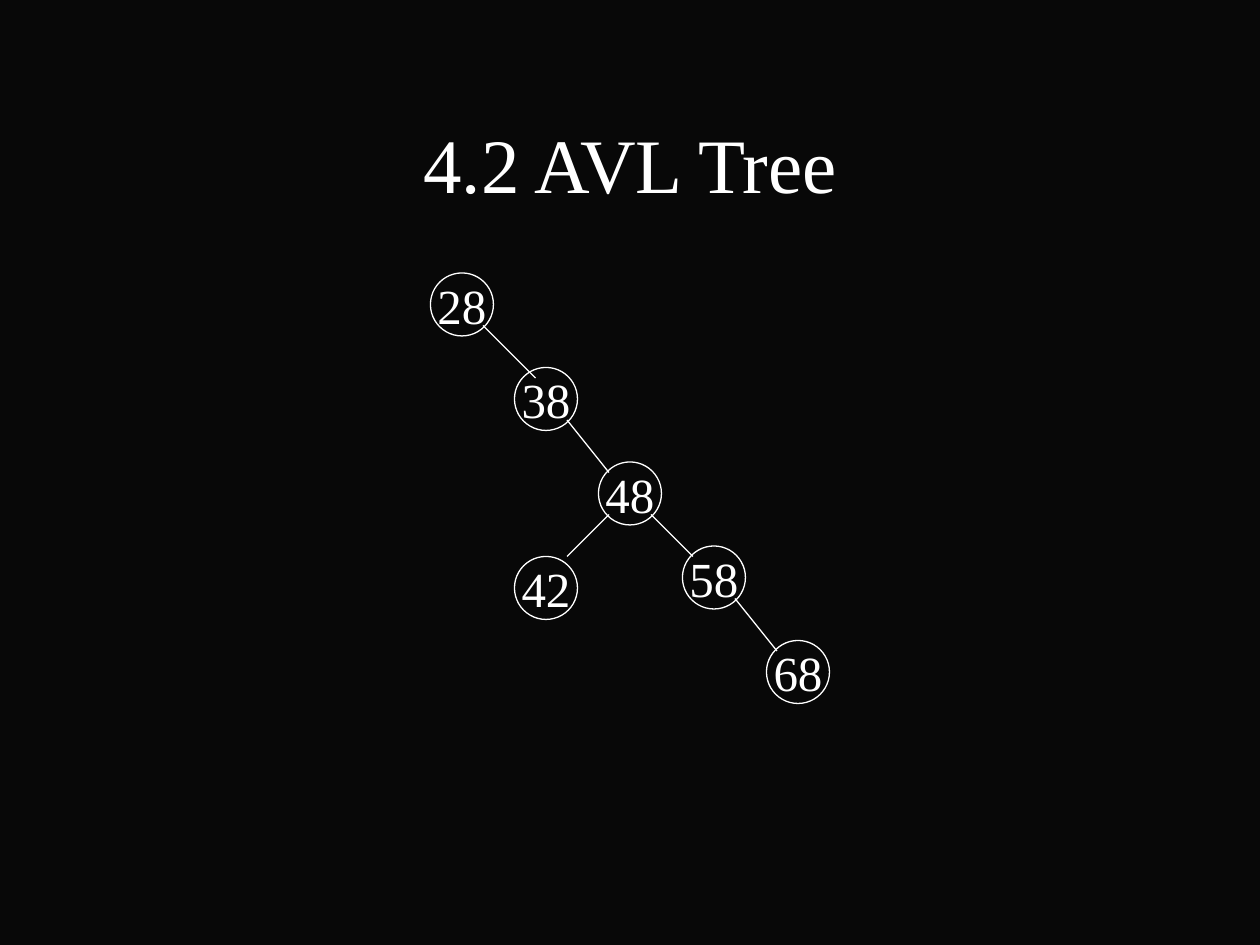
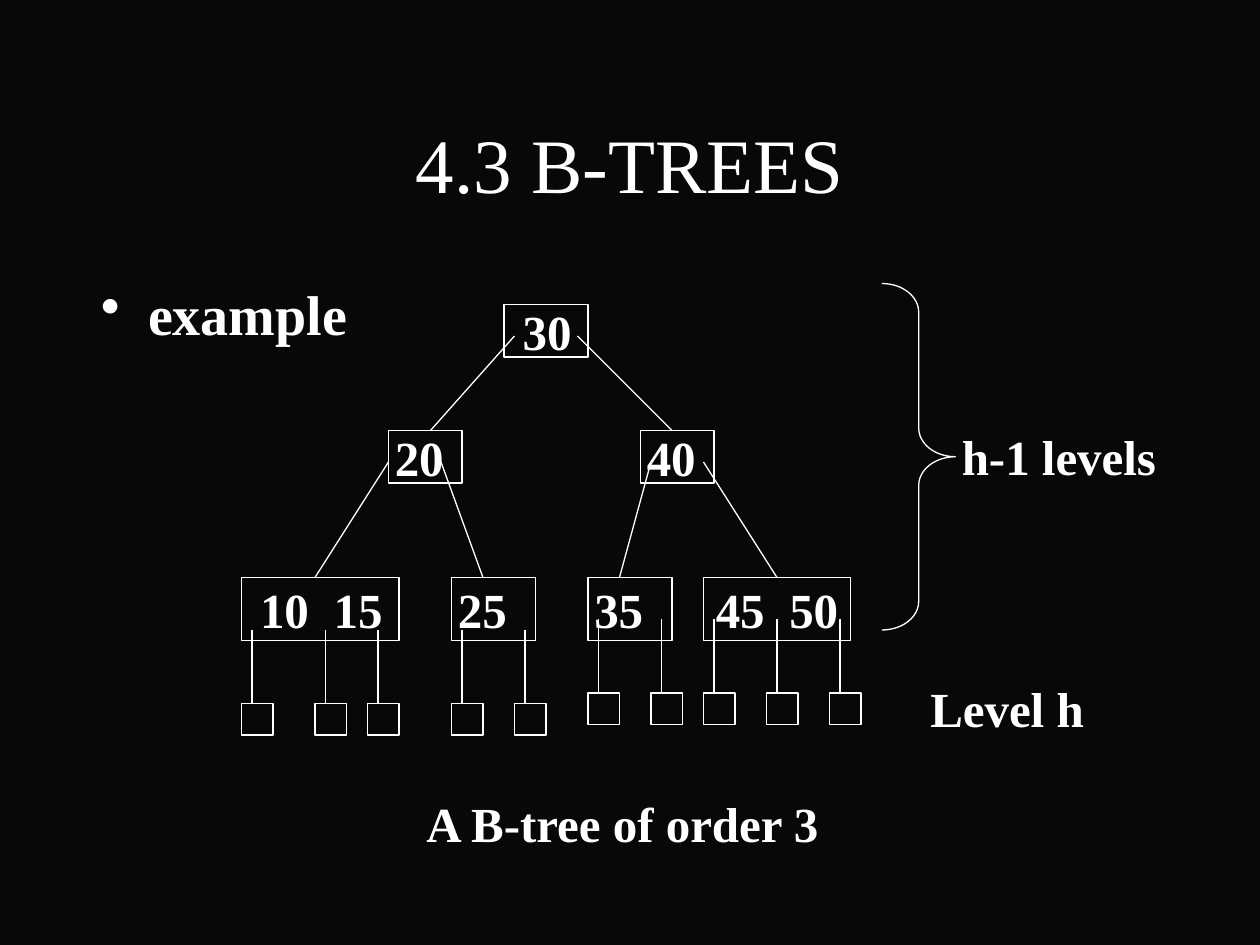
"""Build two slides on search trees: an AVL tree and a B-tree."""
from lxml.etree import SubElement
from pptx import Presentation
from pptx.dml.color import RGBColor
from pptx.enum.shapes import MSO_CONNECTOR as Conn, MSO_SHAPE as Shape
from pptx.enum.text import MSO_ANCHOR as Anchor, PP_ALIGN as Align
from pptx.oxml.ns import qn
from pptx.util import Pt

COLORS = {"back": "080808", "ink": "FFFFFF"}
FONT = "Times New Roman"
LABEL_H = 38
INSET = 3.6


def color(name):
    """Return the named colour."""
    return RGBColor.from_string(COLORS[name])


def write(tf, text, size=28, bold=False, align=Align.LEFT, bullet=None, tab=None):
    """Write one formatted paragraph into a text frame."""
    p = tf.paragraphs[0]
    p.alignment = align
    pPr = p._p.get_or_add_pPr()
    if bullet:
        pPr.set("marL", str(Pt(27)))
        pPr.set("indent", str(-Pt(27)))
        SubElement(pPr, qn("a:buChar"), char=bullet)
    if tab:
        tabs = SubElement(pPr, qn("a:tabLst"))
        SubElement(tabs, qn("a:tab"), pos=str(Pt(tab)), algn="l")
    r = p.add_run()
    r.text = text
    r.font.name, r.font.size, r.font.bold = FONT, Pt(size), bold
    r.font.color.rgb = color("ink")


class Deck:
    """Hold the shared style and the current slide."""

    def __init__(self):
        """Open a 10 by 7.5 inch presentation."""
        self.prs = Presentation()
        self.prs.slide_width, self.prs.slide_height = Pt(720), Pt(540)
        self.s = None

    def slide(self, title):
        """Start a dark slide with a centred title."""
        self.s = self.prs.slides.add_slide(self.prs.slide_layouts[6])
        fill = self.s.background.fill
        fill.solid()
        fill.fore_color.rgb = color("back")
        self.text(title, 54, 48, 612, 90, anchor=Anchor.MIDDLE,
                  size=44, align=Align.CENTER)

    def text(self, text, x, y, w, h=LABEL_H, anchor=Anchor.TOP, wrap=True, pad=0, **fmt):
        """Add a text box."""
        tf = self.s.shapes.add_textbox(Pt(x), Pt(y), Pt(w), Pt(h)).text_frame
        tf.word_wrap, tf.vertical_anchor = wrap, anchor
        tf.margin_top = tf.margin_bottom = tf.margin_right = Pt(INSET)
        tf.margin_left = Pt(INSET + pad)
        write(tf, text, **fmt)

    def outline(self, kind, x, y, w, h):
        """Add an unfilled shape with a thin line."""
        sp = self.s.shapes.add_shape(kind, Pt(x), Pt(y), Pt(w), Pt(h))
        sp.shadow.inherit = False
        sp.fill.background()
        sp.line.color.rgb, sp.line.width = color("ink"), Pt(0.75)
        return sp

    def node(self, kind, keys, x, y, w, h, **fmt):
        """Add a tree node with its keys centred vertically."""
        self.outline(kind, x, y, w, h)
        self.text(keys, x, y + (h - LABEL_H) / 2, w, anchor=Anchor.MIDDLE,
                  wrap=False, **fmt)

    def line(self, x1, y1, x2, y2):
        """Add a thin straight line."""
        cx = self.s.shapes.add_connector(Conn.STRAIGHT, Pt(x1), Pt(y1), Pt(x2), Pt(y2))
        cx.line.color.rgb, cx.line.width = color("ink"), Pt(0.75)
        SubElement(cx._element.spPr, qn("a:effectLst"))

    def leaf(self, x, y, size=18, stem=42):
        """Add an empty leaf hanging on a vertical stem."""
        self.outline(Shape.RECTANGLE, x, y, size, size)
        self.line(x + 6, y - stem, x + 6, y)


def avl_tree(deck):
    """Build the AVL tree slide."""
    deck.slide("4.2 AVL Tree")
    nodes = {"28": (246, 156), "38": (294, 210), "48": (342, 264),
             "42": (294, 318), "58": (390, 312), "68": (438, 366)}
    for key, (x, y) in nodes.items():
        deck.node(Shape.OVAL, key, x, y, 36, 36, align=Align.CENTER)
    for edge in ((276, 186, 306, 216), (324, 240, 348, 270), (372, 294, 396, 318),
                 (420, 342, 444, 372), (348, 294, 324, 318)):
        deck.line(*edge)


def b_tree(deck):
    """Build the B-tree slide."""
    deck.slide("4.3 B-TREES")
    deck.text("example", 54, 156, 612, 324, size=32, bold=True, bullet="•")
    levels = {(174, 30): [("30", 288, 48, 7)],
              (246, 30): [("20", 222, 42, 0), ("40", 366, 42, 0)],
              (330, 36): [("10\t15", 138, 90, 7), ("25", 258, 48, 0),
                          ("35", 336, 48, 0), ("45\t50", 402, 84, 3.4)]}
    for (y, h), nodes in levels.items():
        for keys, x, w, pad in nodes:
            deck.node(Shape.RECTANGLE, keys, x, y, w, h, pad=pad, bold=True,
                      tab=42 if "\t" in keys else None)
    for y, lefts in ((402, (138, 180, 210, 258, 294)), (396, (336, 372, 402, 438, 474))):
        for x in lefts:
            deck.leaf(x, y)
    for edge in ((294, 192, 246, 246), (330, 192, 384, 246), (222, 264, 180, 330),
                 (252, 264, 276, 330), (372, 264, 354, 330), (402, 264, 444, 330)):
        deck.line(*edge)
    brace = deck.outline(Shape.RIGHT_BRACE, 504, 162, 42, 198)
    brace.adjustments[0] = 0.39
    for text, x, y, w in (("h-1 levels", 546, 240, 150), ("Level h", 528, 384, 138),
                          ("A B-tree of order 3", 240, 450, 264)):
        deck.text(text, x, y, w, bold=True)


def main():
    """Build and save the deck."""
    deck = Deck()
    avl_tree(deck)
    b_tree(deck)
    deck.prs.save("out.pptx")


if __name__ == "__main__":
    main()
